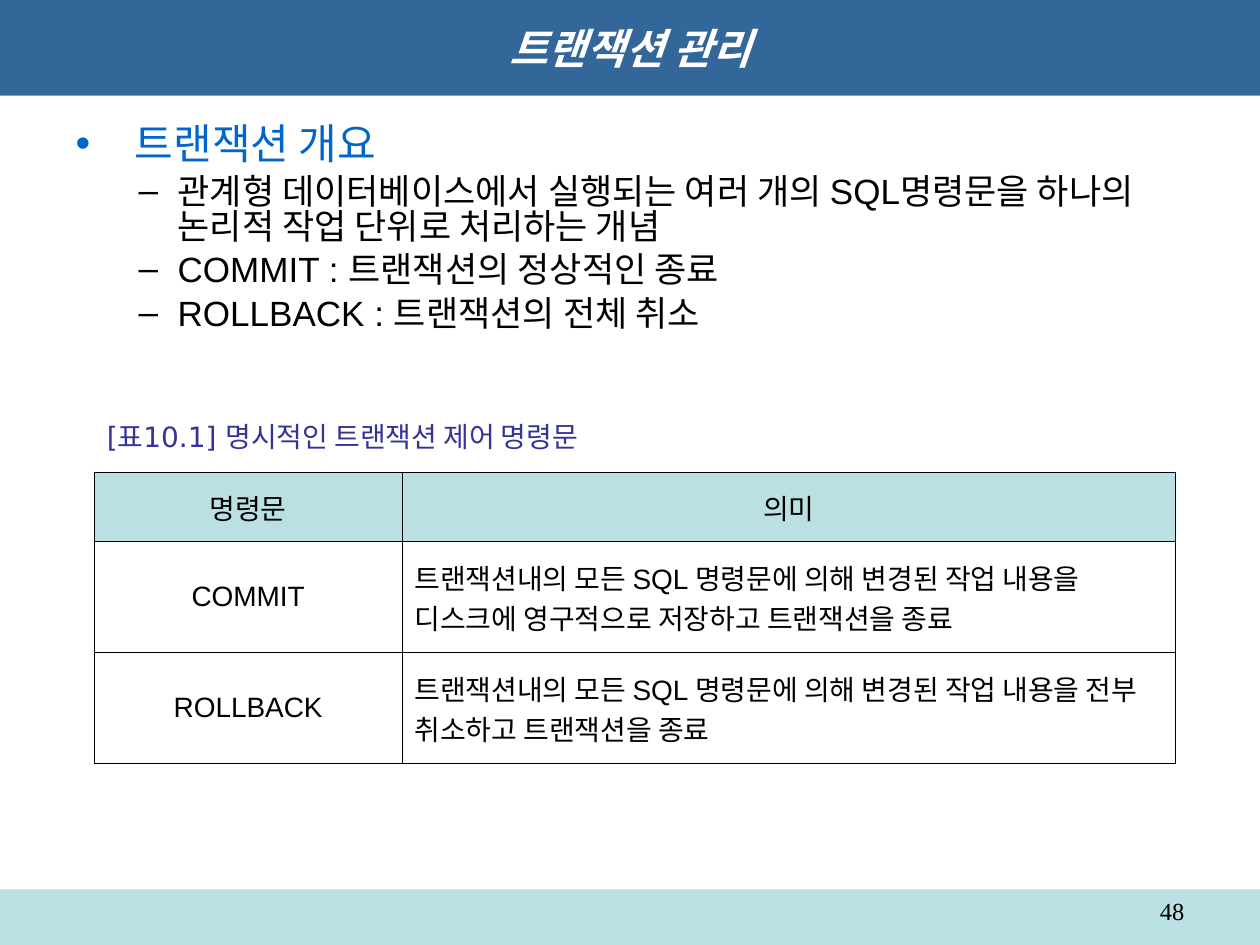
from lxml import etree
from pptx import Presentation
from pptx.dml.color import RGBColor
from pptx.enum import shapes, text
from pptx.oxml.ns import qn
from pptx.util import Inches, Pt

# Content
TITLE = "트랜잭션 관리"
OUTLINE = [
    (0, "트랜잭션 개요"),
    (1, "관계형 데이터베이스에서 실행되는 여러 개의 SQL명령문을 하나의 논리적 작업 단위로 처리하는 개념"),
    (1, "COMMIT : 트랜잭션의 정상적인 종료"),
    (1, "ROLLBACK : 트랜잭션의 전체 취소"),
]
CAPTION = "[표10.1] 명시적인 트랜잭션 제어 명령문"
COMMANDS = [
    ("명령문", "의미"),
    ("COMMIT", "트랜잭션내의 모든 SQL 명령문에 의해 변경된 작업 내용을 디스크에 영구적으로 저장하고 트랜잭션을 종료"),
    ("ROLLBACK", "트랜잭션내의 모든 SQL 명령문에 의해 변경된 작업 내용을 전부 취소하고 트랜잭션을 종료"),
]
PAGE_NUMBER = "48"

# Format
BLACK, PALE, BLUE = "000000", "BBE0E3", "336699"
LEVELS = [
    dict(bullet="•", left=0.47, hanging=0.47, before=6, size=24, color="0066CC"),
    dict(bullet="–", left=0.81, hanging=0.31, before=5, size=20, color=BLACK),
]
COLUMN_WIDTHS, ROW_HEIGHTS = (2.44, 6.14), (0.55, 0.88, 0.88)
OUTER, INNER = 1.08, 0.45
LEFT, CENTER, RIGHT = text.PP_ALIGN.LEFT, text.PP_ALIGN.CENTER, text.PP_ALIGN.RIGHT
MIDDLE, TOP = text.MSO_ANCHOR.MIDDLE, text.MSO_ANCHOR.TOP


def rgb(value):
    return RGBColor.from_string(value)


def place(shape, left, top, width, height):
    box = dict(left=left, top=top, width=width, height=height)
    for name, value in box.items():
        setattr(shape, name, Inches(value))


def set_font(paragraph, size, color, name="Arial", **styles):
    values = dict(size=Pt(size), name=name, **styles)
    for run in paragraph.runs:
        for key, value in values.items():
            setattr(run.font, key, value)
        run.font.color.rgb = rgb(color)


def set_frame(frame, anchor, wrap=True):
    values = dict(vertical_anchor=anchor, word_wrap=wrap, auto_size=text.MSO_AUTO_SIZE.NONE)
    for key, value in values.items():
        setattr(frame, key, value)


def add_label(slide, words, box, size, color, name, align, anchor, wrap):
    label = slide.shapes.add_textbox(*map(Inches, box))
    set_frame(label.text_frame, anchor, wrap)
    paragraph = label.text_frame.paragraphs[0]
    paragraph.text, paragraph.alignment = words, align
    set_font(paragraph, size, color, name)


def add_bullet(paragraph, level):
    properties = paragraph._p.get_or_add_pPr()
    properties.set("marL", str(Inches(level["left"])))
    properties.set("indent", str(-Inches(level["hanging"])))
    bullet_color = etree.SubElement(properties, qn("a:buClr"))
    etree.SubElement(bullet_color, qn("a:srgbClr"), val=level["color"])
    etree.SubElement(properties, qn("a:buChar"), char=level["bullet"])


def set_borders(cell, widths):
    properties = cell._tc.get_or_add_tcPr()
    for position, (side, width) in enumerate(widths.items()):
        line = etree.Element(qn(f"a:ln{side}"), w=str(Pt(width)))
        fill = etree.SubElement(line, qn("a:solidFill"))
        etree.SubElement(fill, qn("a:srgbClr"), val=BLACK)
        properties.insert(position, line)


def add_commands(slide):
    frame = slide.shapes.add_table(
        len(COMMANDS), len(COLUMN_WIDTHS), Inches(0.75), Inches(3.75),
        Inches(sum(COLUMN_WIDTHS)), Inches(sum(ROW_HEIGHTS)))
    table = frame.table
    table.first_row = table.horz_banding = False
    for column, width in zip(table.columns, COLUMN_WIDTHS):
        column.width = Inches(width)
    last_row, last_column = len(COMMANDS) - 1, len(COLUMN_WIDTHS) - 1
    for r, values in enumerate(COMMANDS):
        table.rows[r].height = Inches(ROW_HEIGHTS[r])
        for c, words in enumerate(values):
            cell = table.cell(r, c)
            cell.text, cell.vertical_anchor = words, MIDDLE
            paragraph = cell.text_frame.paragraphs[0]
            paragraph.alignment = LEFT if r and c else CENTER
            set_font(paragraph, 16, BLACK)
            if r == 0:
                cell.fill.solid()
                cell.fill.fore_color.rgb = rgb(PALE)
            else:
                cell.fill.background()
            edges = dict(L=c == 0, R=c == last_column, T=r == 0, B=r == last_row)
            set_borders(cell, {side: OUTER if edge else INNER for side, edge in edges.items()})


def main():
    presentation = Presentation()
    presentation.slide_width, presentation.slide_height = Inches(10), Inches(7.5)
    slide = presentation.slides.add_slide(presentation.slide_layouts[1])

    # Footer band
    footer = slide.shapes.add_shape(
        shapes.MSO_SHAPE.RECTANGLE, *map(Inches, (0, 7.06, 10, 0.44)))
    footer.shadow.inherit = False
    footer.fill.solid()
    footer.fill.fore_color.rgb = rgb(PALE)
    footer.line.fill.background()

    # Title band
    title = slide.shapes.title
    place(title, 0, 0, 10, 0.76)
    title.fill.solid()
    title.fill.fore_color.rgb = rgb(BLUE)
    title.text_frame.text = TITLE
    set_frame(title.text_frame, MIDDLE)
    heading = title.text_frame.paragraphs[0]
    heading.alignment = CENTER
    set_font(heading, 24, "FFFFFF", "DejaVu Sans", bold=True, italic=True)

    # Outline
    body = slide.placeholders[1]
    place(body, 0.5, 0.95, 9, 5.95)
    frame = body.text_frame
    set_frame(frame, TOP)
    for index, (depth, words) in enumerate(OUTLINE):
        level = LEVELS[depth]
        paragraph = frame.add_paragraph() if index else frame.paragraphs[0]
        paragraph.text, paragraph.level = words, depth
        add_bullet(paragraph, level)
        paragraph.line_spacing = 0.83
        paragraph.space_before = Pt(level["before"] if index else 0)
        set_font(paragraph, level["size"], level["color"])

    # Table, caption and page number
    add_commands(slide)
    add_label(slide, CAPTION, (0.75, 3.28, 4.17, 0.37), 16, "333399",
              "DejaVu Sans", LEFT, MIDDLE, False)
    add_label(slide, PAGE_NUMBER, (7.17, 7.06, 2.33, 0.29), 14, BLACK,
              "Times New Roman", RIGHT, TOP, True)

    presentation.save("out.pptx")


if __name__ == "__main__":
    main()
